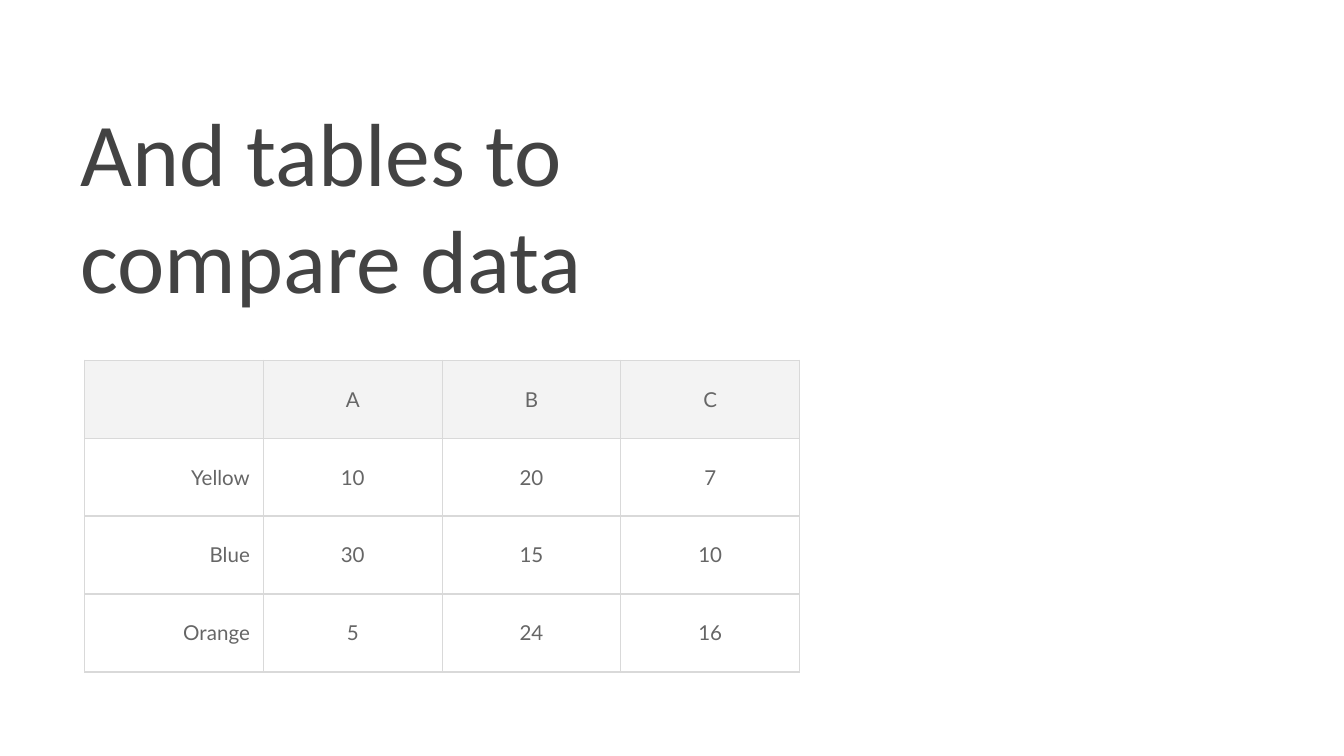
"""Build a slide with a title and a table comparing three colours."""
from lxml.etree import SubElement
from pptx import Presentation
from pptx.dml.color import RGBColor
from pptx.enum.text import MSO_ANCHOR as ANCHOR, PP_ALIGN as ALIGN
from pptx.oxml.ns import qn
from pptx.util import Inches, Pt

TITLE = RGBColor(0x43, 0x43, 0x43)
BODY = RGBColor(0x66, 0x66, 0x66)
HEADER = RGBColor(0xF3, 0xF3, 0xF3)
BORDER = RGBColor(0xD9, 0xD9, 0xD9)

ROWS = [
    ["", "A", "B", "C"],
    ["Yellow", "10", "20", "7"],
    ["Blue", "30", "15", "10"],
    ["Orange", "5", "24", "16"],
]


def write(p, text, size, font, color):
    r = p.add_run()
    r.text = text
    r.font.size = Pt(size)
    r.font.name = font
    r.font.color.rgb = color


def add_borders(cell):
    tc_pr = cell._tc.get_or_add_tcPr()
    for side in ("a:lnL", "a:lnR", "a:lnT", "a:lnB"):
        ln = SubElement(tc_pr, qn(side), w=str(Pt(0.75)))
        fill = SubElement(ln, qn("a:solidFill"))
        SubElement(fill, qn("a:srgbClr"), val=str(BORDER))


prs = Presentation()
prs.slide_width = Inches(10)
prs.slide_height = Inches(10 * 9 / 16)
s = prs.slides.add_slide(prs.slide_layouts[6])

sp = s.shapes.add_textbox(Inches(0.5), Inches(1.48), Inches(6.03), Inches(0.94))
tf = sp.text_frame
frame_format = {
    "word_wrap": True,
    "vertical_anchor": ANCHOR.BOTTOM,
    "margin_left": Inches(0.1),
    "margin_right": Inches(0.1),
    "margin_top": Inches(0.1),
    "margin_bottom": Inches(0.1),
}
for name, value in frame_format.items():
    setattr(tf, name, value)
write(tf.paragraphs[0], "And tables to compare data", 48, "Calibri", TITLE)

table = s.shapes.add_table(
    len(ROWS), len(ROWS[0]), Inches(0.63), Inches(2.68), Inches(5.32), Inches(2.32)
).table
table.horz_banding = False
cell_format = {
    "vertical_anchor": ANCHOR.MIDDLE,
    "margin_left": Inches(0.1),
    "margin_right": Inches(0.1),
    "margin_top": Inches(0.07),
    "margin_bottom": Inches(0.07),
}
for i, row in enumerate(ROWS):
    for j, text in enumerate(row):
        cell = table.cell(i, j)
        for name, value in cell_format.items():
            setattr(cell, name, value)
        add_borders(cell)
        if i == 0:
            cell.fill.solid()
            cell.fill.fore_color.rgb = HEADER
        else:
            cell.fill.background()
        if text:
            p = cell.text_frame.paragraphs[0]
            p.alignment = ALIGN.CENTER if j else ALIGN.RIGHT
            write(p, text, 11, "Lato", BODY)

prs.save("out.pptx")
